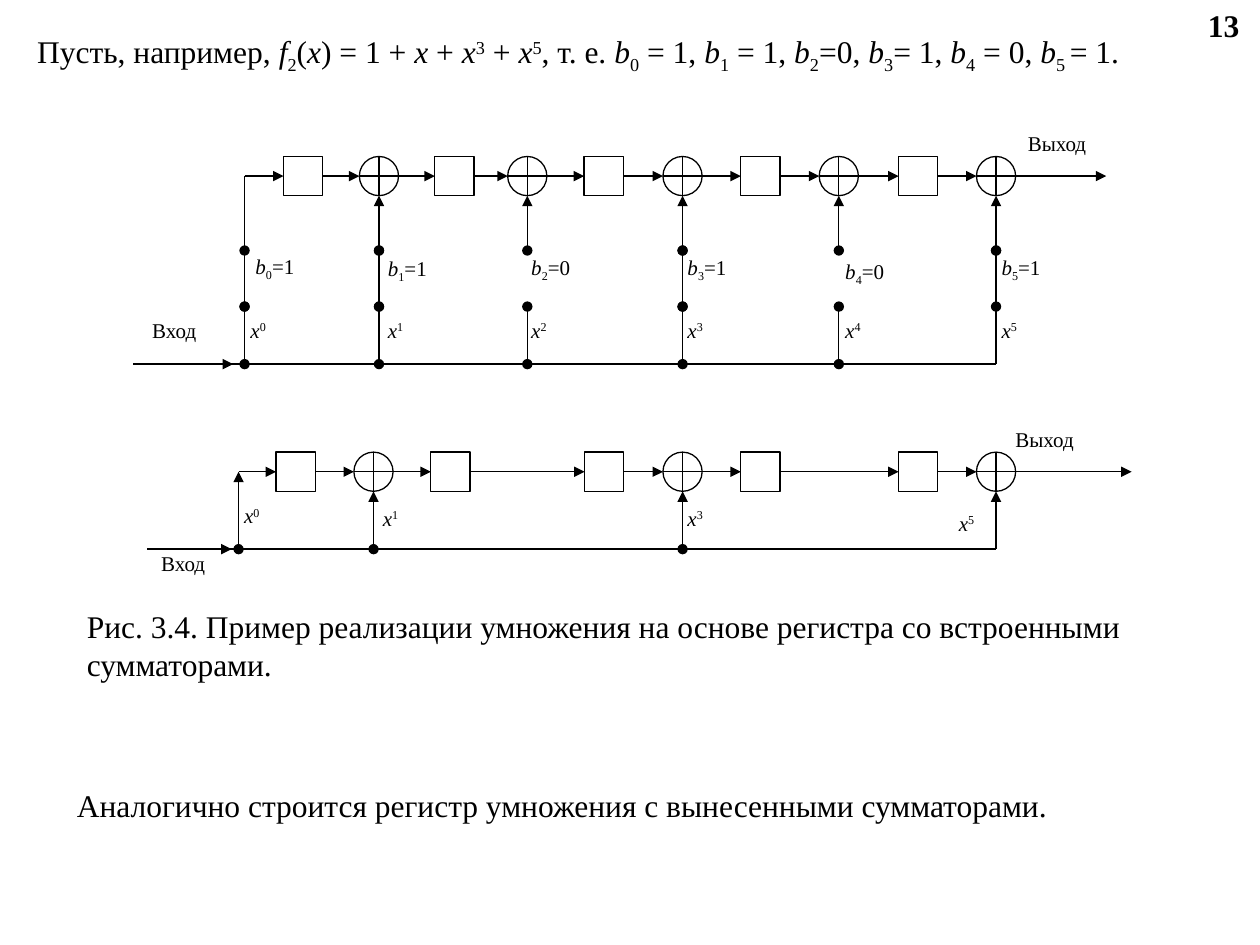
from lxml import etree
from pptx import Presentation
from pptx import util as u
from pptx.dml.color import RGBColor
from pptx.enum import shapes, text
from pptx.oxml import ns

INK, PAPER, FONT = "000000", "FFFFFF", "Times New Roman"
SIDE = 0.79
HALF = SIDE / 2
BASE = {"_": "-25000", "^": "30000"}

LEAD = ("Пусть, например, |/f|_2|(|/x|) = 1 + |/x| + |/х|^3| + |/х|^5|, т. е. "
        "|/b|_0| = 1, |/b|_1| = 1, |/b|_2|=0, |/b|_3|= 1, |/b|_4| = 0, |/b|_5 |= 1.")
NOTES = [
    (LEAD, 0.5, 0.53, 24.2, 1.12, False),
    ("Аналогично строится регистр умножения с вынесенными сумматорами.",
     1.3, 15.72, 21.62, 1.02, False),
    ("13", 24.1, 0, 1.3, 1.02, True),
    ("Рис. 3.4. Пример реализации умножения на основе регистра со встроенными "
     "сумматорами.", 1.5, 12.12, 22.6, 1.78, False),
]
SIGNS = [("Вход", 2.82, 6.27), ("Выход", 20.47, 2.51),
         ("Вход", 3.0, 10.97), ("Выход", 20.22, 8.48)]

FULL = {"y": 3.55, "start": 4.93, "end": 22.3,
        "cells": [6.11, 9.16, 12.17, 15.33, 18.51],
        "sums": [7.64, 10.63, 13.76, 16.91, 20.08],
        "bus": (2.69, 20.08, 7.34), "entry": (2.87, 4.7)}
SHORT = {"y": 9.51, "start": 4.81, "end": 22.81,
         "cells": [5.96, 9.08, 12.18, 15.33, 18.51],
         "sums": [7.53, 13.76, 20.08],
         "bus": (2.97, 20.08, 11.07), "entry": (3.1, 4.67)}

# power, bit, label left for b and x, label top for b
KEYS = [(0, 1, 4.9, 4.8, 4.98), (1, 1, 7.57, 7.57, 5.03),
        (2, 0, 10.46, 10.46, 5.0), (3, 1, 13.61, 13.61, 5.0),
        (4, 0, 16.79, 16.79, 5.08), (5, 1, 19.94, 19.94, 5.0)]
TAPS = [(0, 4.67, 10.01), (1, 7.47, 10.06), (3, 13.61, 10.06), (5, 19.08, 10.16)]

deck = Presentation()
deck.slide_width, deck.slide_height = u.Cm(25.4), u.Cm(19.05)
slide = deck.slides.add_slide(deck.slide_layouts[6])


def tint(code):
    return RGBColor.from_string(code)


def write(words, x, y, w, h, size=12, bold=False, grow=False):
    box = slide.shapes.add_textbox(u.Cm(x), u.Cm(y), u.Cm(w), u.Cm(h))
    frame = box.text_frame
    frame.word_wrap = True
    if grow:
        frame.auto_size = text.MSO_AUTO_SIZE.SHAPE_TO_FIT_TEXT
    for part in words.split("|"):
        mark = part[0] if part[0] in "/_^" else ""
        run = frame.paragraphs[0].add_run()
        run.text = part[len(mark):]
        font = run.font
        font.name, font.size, font.bold = FONT, u.Pt(size), bold
        font.italic = mark == "/"
        font.color.rgb = tint(INK)
        if mark in BASE:
            run._r.get_or_add_rPr().set("baseline", BASE[mark])


def wire(x1, y1, x2, y2, head=None, tail=None):
    line = slide.shapes.add_connector(
        shapes.MSO_CONNECTOR.STRAIGHT, u.Cm(x1), u.Cm(y1), u.Cm(x2), u.Cm(y2))
    line.line.color.rgb = tint(INK)
    line.line.width = u.Pt(0.75)
    pen = line.line._get_or_add_ln()
    for tag, kind in (("a:headEnd", head), ("a:tailEnd", tail)):
        if kind:
            etree.SubElement(pen, ns.qn(tag), type=kind)
    etree.SubElement(line._element.spPr, ns.qn("a:effectLst"))


def node(kind, x, y):
    shape = slide.shapes.add_shape(
        kind, u.Cm(x - HALF), u.Cm(y - HALF), u.Cm(SIDE), u.Cm(SIDE))
    shape.shadow.inherit = False
    shape.fill.solid()
    shape.fill.fore_color.rgb = tint(PAPER)
    shape.line.color.rgb = tint(INK)
    shape.line.width = u.Pt(0.75)


def chain(row):
    y = row["y"]
    for x in row["cells"]:
        node(shapes.MSO_SHAPE.RECTANGLE, x, y)
    for x in row["sums"]:
        node(shapes.MSO_SHAPE.FLOWCHART_OR, x, y)
    left = row["start"]
    for x in sorted(row["cells"] + row["sums"]):
        wire(left, y, x - HALF, y, tail="triangle")
        left = x + HALF
    wire(left, y, row["end"], y, tail="triangle")
    x1, x2, low = row["bus"]
    wire(x1, low, x2, low)
    wire(row["entry"][0], low, row["entry"][1], low, tail="triangle")


def switches():
    top, mid, low = 5.05, 6.18, FULL["bus"][2]
    stems = [FULL["start"]] + FULL["sums"]
    for x, (power, bit, bx, px, by) in zip(stems, KEYS):
        if power:
            wire(x, top, x, FULL["y"] + HALF, "oval", "triangle")
        else:
            wire(x, FULL["y"], x, top)
        if bit:
            wire(x, top, x, mid, "oval", "oval")
        dot = "oval" if power < 5 else None
        wire(x, mid, x, low, dot, dot)
        write(f"/b|_{power}|={bit}", bx, by, 2.1, 1.17)
        write(f"/x|^{power}", px, 6.27, 1.32, 1.17)


def taps():
    stems = [SHORT["start"]] + SHORT["sums"]
    for x, (power, px, py) in zip(stems, TAPS):
        end = SHORT["y"] + (HALF if power else 0)
        dot = "oval" if power < 5 else None
        wire(x, SHORT["bus"][2], x, end, dot, "triangle")
        write(f"/x|^{power}", px, py, 1.57, 1.17)


chain(FULL)
switches()
chain(SHORT)
taps()
for words, x, y in SIGNS:
    write(words, x, y, 2.4, 1.17)
for words, x, y, w, h, bold in NOTES:
    write(words, x, y, w, h, 18, bold, True)
deck.save("out.pptx")
